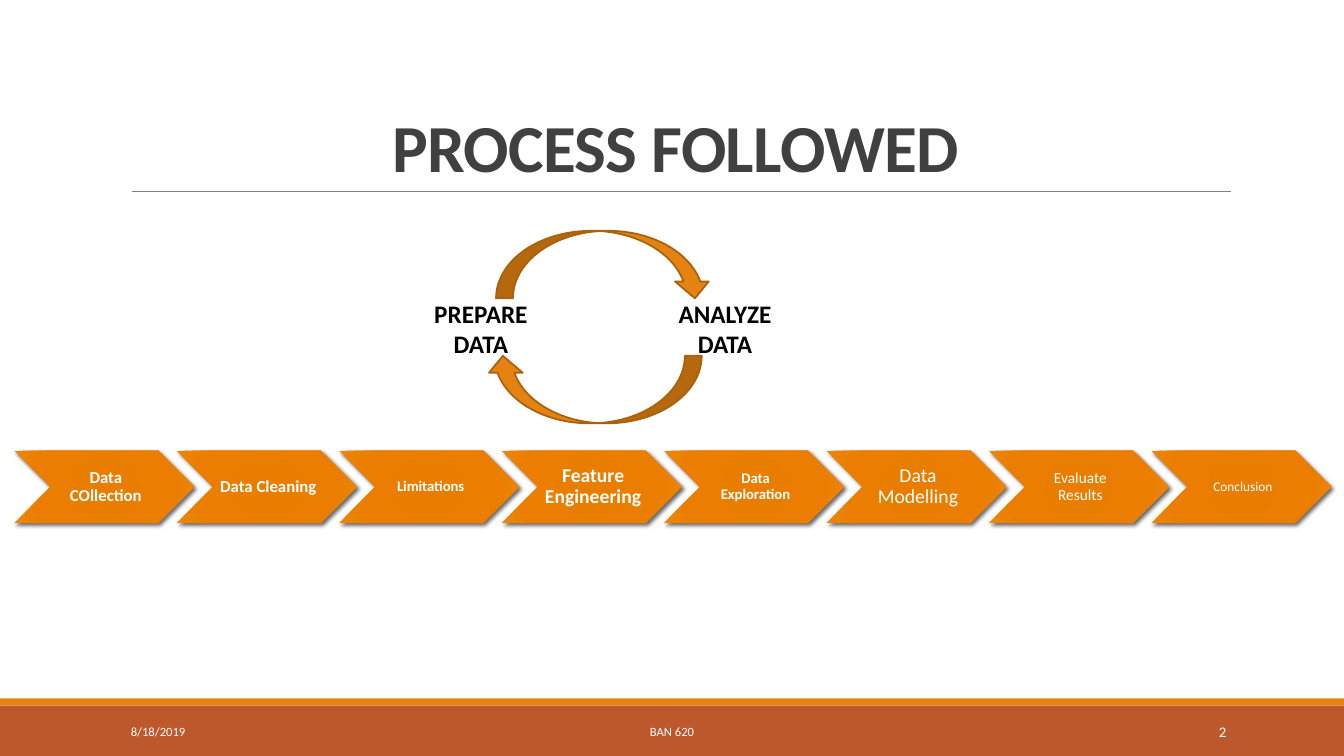
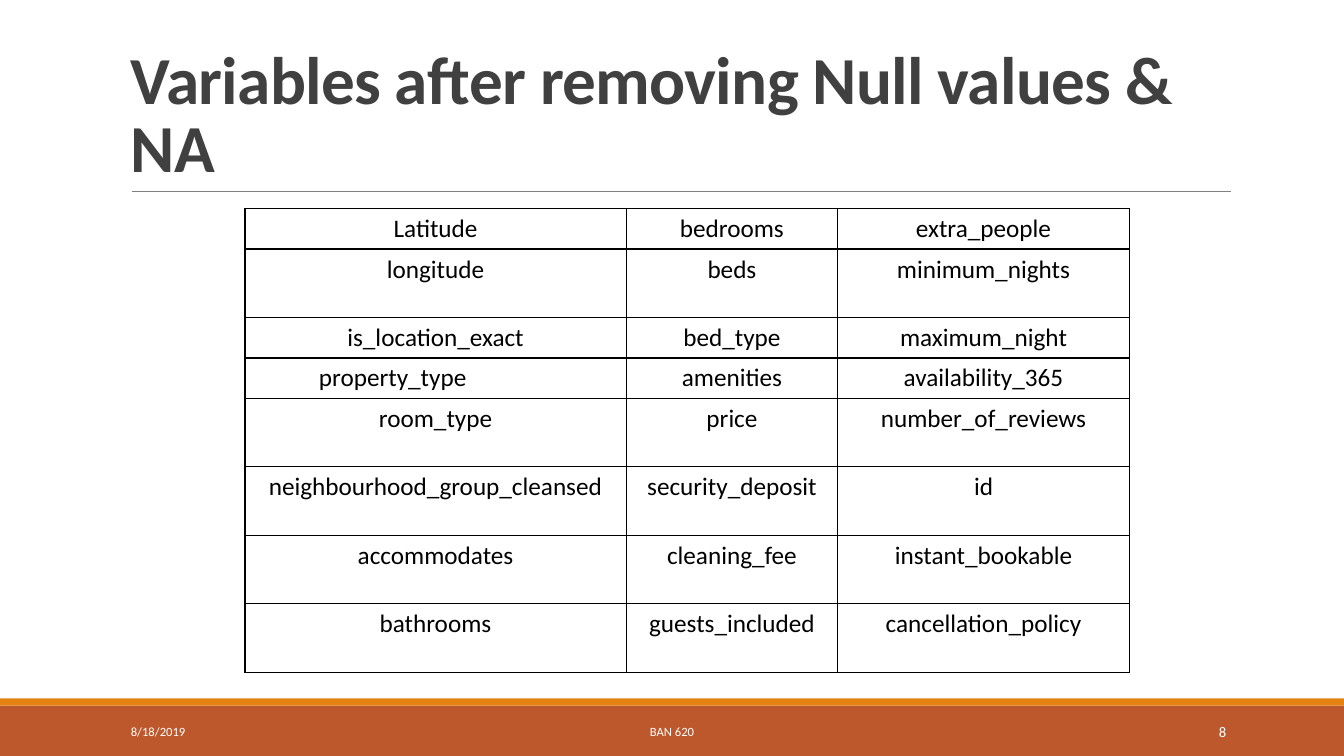
from lxml import etree
from pptx import Presentation
from pptx.dml.color import RGBColor
from pptx.enum.shapes import MSO_CONNECTOR, MSO_SHAPE
from pptx.enum.text import MSO_ANCHOR, PP_ALIGN
from pptx.oxml import parse_xml
from pptx.util import Inches, Pt

RECT, CHEVRON, ARROW = MSO_SHAPE.RECTANGLE, MSO_SHAPE.CHEVRON, MSO_SHAPE.CURVED_DOWN_ARROW
STRAIGHT = MSO_CONNECTOR.STRAIGHT
LEFT, CENTER, RIGHT = PP_ALIGN.LEFT, PP_ALIGN.CENTER, PP_ALIGN.RIGHT
TOP, MIDDLE, BOTTOM = MSO_ANCHOR.TOP, MSO_ANCHOR.MIDDLE, MSO_ANCHOR.BOTTOM

NS = "http://schemas.openxmlformats.org/drawingml/2006/main"
FONT = "Calibri"
ORANGE, RUST, BROWN = "E48312", "BD582C", "A9610D"
WHITE, BLACK, DARK, GRAY = "FFFFFF", "000000", "404040", "808080"
CHEVRON_STOPS = [(0, "E57B00"), (34, "E87D00"), (70, "EB7E00"), (100, "EF8407")]

DATE, COURSE = "8/18/2019", "BAN 620"

PROCESS_TITLE = "PROCESS FOLLOWED"
STEPS = [  # text, size, bold
    ("Data COllection", 12, True),
    ("Data Cleaning", 12, True),
    ("Limitations", 10.5, True),
    ("Feature Engineering", 14, True),
    ("Data Exploration", 10.5, True),
    ("Data Modelling", 14, False),
    ("Evaluate Results", 11, False),
    ("Conclusion", 9.5, False),
]
CYCLE_LABELS = [("PREPARE DATA", 4.12, 1.3), ("ANALYZE DATA", 6.48, 1.42)]
CYCLE_ARROWS = [(4.92, 2.29, 0), (4.82, 3.53, 180)]  # left, top, rotation

VARIABLES_TITLE = "Variables after removing Null values & NA"
VARIABLES = [
    ("Latitude", "bedrooms", "extra_people"),
    ("longitude", "beds", "minimum_nights"),
    ("is_location_exact", "bed_type", "maximum_night"),
    ("property_type", "amenities", "availability_365"),
    ("room_type", "price", "number_of_reviews"),
    ("neighbourhood_group_cleansed", "security_deposit", "id"),
    ("accommodates", "cleaning_fee", "instant_bookable"),
    ("bathrooms", "guests_included", "cancellation_policy"),
]
COLUMN_WIDTHS = [3.78, 2.1, 2.89]
SHORT, TALL = 0.39, 0.68
ROW_HEIGHTS = [SHORT, TALL, SHORT, SHORT] + [TALL] * 4


def rgb(color):
    return RGBColor.from_string(color)


def write(tf, text, size, color, bold=False, align=LEFT, spacing=None):
    p = tf.paragraphs[0]
    p.alignment = align
    if spacing:
        p.line_spacing = spacing
    r = p.add_run()
    r.text = text
    for name, value in dict(name=FONT, size=Pt(size), bold=bold).items():
        setattr(r.font, name, value)
    r.font.color.rgb = rgb(color)
    return r


def add_text(s, box, text, size, color, anchor=TOP, **style):
    tf = s.shapes.add_textbox(*map(Inches, box)).text_frame
    tf.word_wrap = True
    tf.vertical_anchor = anchor
    return write(tf, text, size, color, **style)


def add_shape(s, kind, box, fill, line=None):
    sp = s.shapes.add_shape(kind, *map(Inches, box))
    sp.shadow.inherit = False
    sp.fill.solid()
    sp.fill.fore_color.rgb = rgb(fill)
    if line:
        sp.line.color.rgb = rgb(line)
        sp.line.width = Pt(1.25)
    else:
        sp.line.fill.background()
    return sp


def add_base_slide(prs, title, number, align=LEFT):
    """Add a slide with the shared bands, title, rule and footer."""
    s = prs.slides.add_slide(prs.slide_layouts[6])
    add_shape(s, RECT, (0, 7, 13.33, 0.5), RUST)
    add_shape(s, RECT, (0, 6.93, 13.33, 0.07), ORANGE)
    rule = s.shapes.add_connector(STRAIGHT, *map(Inches, (1.31, 1.9, 12.21, 1.9)))
    rule.line.color.rgb = rgb(GRAY)
    rule.line.width = Pt(0.5)
    etree.SubElement(rule._element.spPr, f"{{{NS}}}effectLst")
    r = add_text(s, (1.2, 0.31, 11, 1.59), title, 48, DARK, BOTTOM,
                 bold=True, align=align, spacing=0.85)
    r.font._element.set("spc", "-50")
    footers = [
        (1.2, 2.7, DATE, 9, LEFT),
        (4.03, 5.27, COURSE, 9, CENTER),
        (10.83, 1.43, str(number), 10.5, RIGHT),
    ]
    for left, width, text, size, side in footers:
        add_text(s, (left, 7.06, width, 0.4), text, size, WHITE, MIDDLE, align=side)
    return s


def style_chevron(sp):
    """Give the chevron its radial gradient and soft shadow."""
    spPr = sp._element.spPr
    stops = "".join(f'<a:gs pos="{pos * 1000}"><a:srgbClr val="{color}"/></a:gs>'
                    for pos, color in CHEVRON_STOPS)
    gradient = parse_xml(
        f'<a:gradFill xmlns:a="{NS}" rotWithShape="1"><a:gsLst>{stops}</a:gsLst>'
        '<a:path path="circle"><a:fillToRect l="100000" t="100000" r="100000" b="100000"/>'
        '</a:path></a:gradFill>')
    spPr.replace(spPr.find(f"{{{NS}}}solidFill"), gradient)
    spPr.find(f"{{{NS}}}effectLst").append(parse_xml(
        f'<a:outerShdw xmlns:a="{NS}" blurRad="38100" dist="25400" dir="2700000" '
        'rotWithShape="0"><a:srgbClr val="000000"><a:alpha val="60000"/></a:srgbClr>'
        '</a:outerShdw>'))


def add_process_slide(prs):
    s = add_base_slide(prs, PROCESS_TITLE, 2, CENTER)
    width = 1.79
    for i, (text, size, bold) in enumerate(STEPS):
        sp = add_shape(s, CHEVRON, (0.14 + i * 0.9 * width, 4.47, width, 0.72), ORANGE)
        style_chevron(sp)
        tf = sp.text_frame
        tf.word_wrap = True
        tf.vertical_anchor = MIDDLE
        tf.margin_left = Inches(0.05)
        for side in ("right", "top", "bottom"):
            setattr(tf, f"margin_{side}", Inches(0.02))
        write(tf, text, size, WHITE, bold, CENTER, 0.9)
    for text, left, label_width in CYCLE_LABELS:
        add_text(s, (left, 2.91, label_width, 0.71), text, 18, BLACK, bold=True, align=CENTER)
    for left, top, rotation in CYCLE_ARROWS:
        sp = add_shape(s, ARROW, (left, top, 2.14, 0.67), ORANGE, BROWN)
        sp.rotation = rotation


def add_borders(cell):
    tcPr = cell._tc.get_or_add_tcPr()
    for i, side in enumerate("LRTB"):
        tcPr.insert(i, parse_xml(
            f'<a:ln{side} xmlns:a="{NS}" w="12700"><a:solidFill>'
            f'<a:srgbClr val="{BLACK}"/></a:solidFill></a:ln{side}>'))


def add_variables_slide(prs):
    s = add_base_slide(prs, VARIABLES_TITLE, 8)
    box = (2.43, 2.07, sum(COLUMN_WIDTHS), sum(ROW_HEIGHTS))
    table = s.shapes.add_table(len(VARIABLES), len(COLUMN_WIDTHS), *map(Inches, box)).table
    table.first_row = table.horz_banding = False
    for column, width in zip(table.columns, COLUMN_WIDTHS):
        column.width = Inches(width)
    for row, height, names in zip(table.rows, ROW_HEIGHTS, VARIABLES):
        row.height = Inches(height)
        for cell, name in zip(row.cells, names):
            cell.fill.background()
            add_borders(cell)
            write(cell.text_frame, name, 18, BLACK, align=CENTER)
    table.cell(3, 0).margin_right = Inches(0.95)  # this entry sits left of centre


def main():
    prs = Presentation()
    prs.slide_width, prs.slide_height = Inches(13.33), Inches(7.5)
    add_process_slide(prs)
    add_variables_slide(prs)
    prs.save("out.pptx")


if __name__ == "__main__":
    main()
